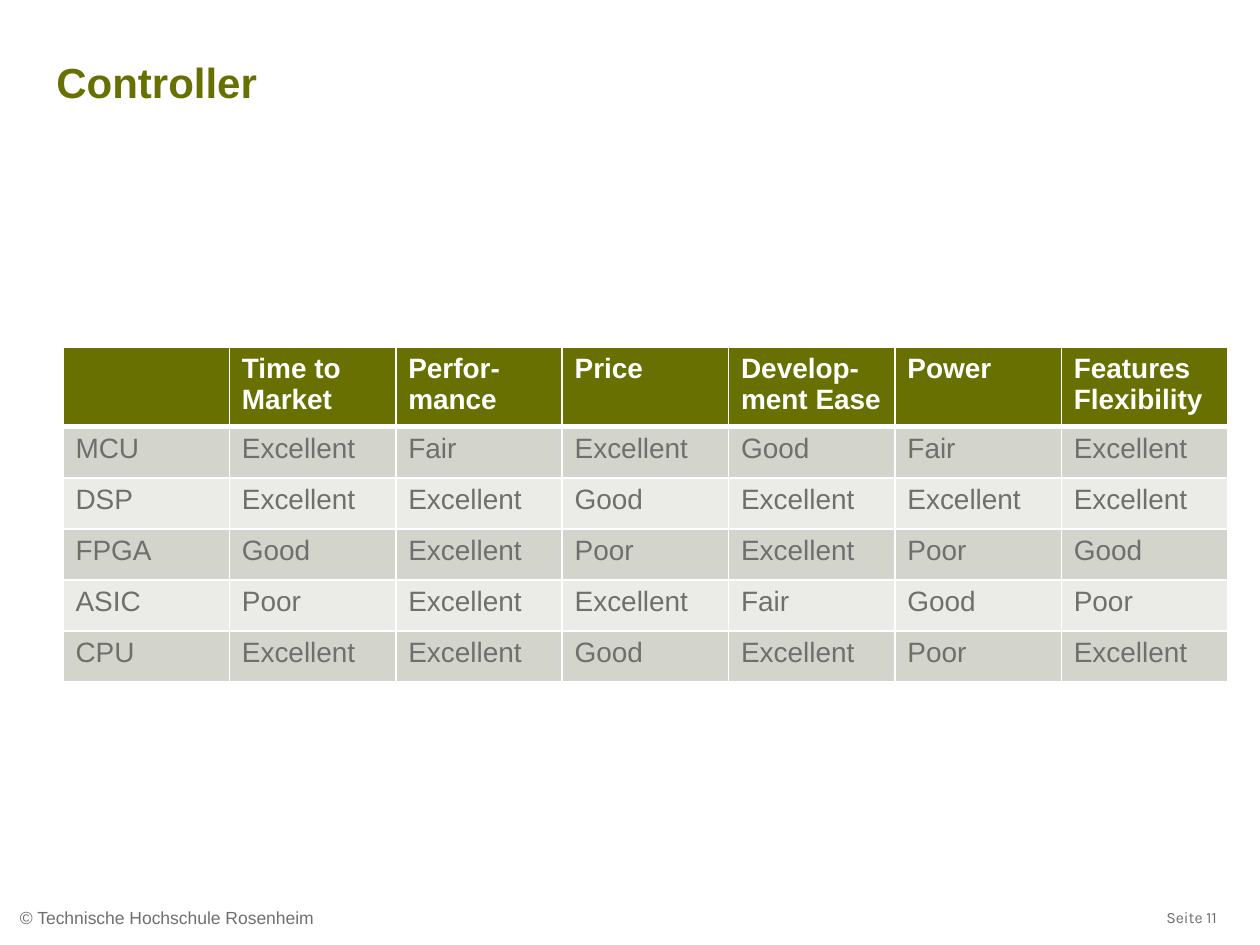
from dataclasses import dataclass

from lxml import etree
from pptx import Presentation
from pptx.dml.color import RGBColor
from pptx.enum import text
from pptx.oxml import ns
from pptx.util import Emu, Pt

EMU_PER_PX = 914400 / 126


@dataclass(frozen=True)
class Theme:
    olive: str = "677000"
    grey: str = "6F6F6E"
    white: str = "FFFFFF"
    bands: tuple = ("D3D5CC", "EBEBE7")
    font: str = "Arial"
    page_font: str = "Karla"
    title_size: int = 24
    table_size: int = 16
    footer_size: int = 10
    page_size: int = 9
    rule: int = 1
    header_rule: int = 3


THEME = Theme()

RATINGS = [
    ["", "Time to Market", "Perfor-mance", "Price", "Develop-ment Ease", "Power", "Features Flexibility"],
    ["MCU", "Excellent", "Fair", "Excellent", "Good", "Fair", "Excellent"],
    ["DSP", "Excellent", "Excellent", "Good", "Excellent", "Excellent", "Excellent"],
    ["FPGA", "Good", "Excellent", "Poor", "Excellent", "Poor", "Good"],
    ["ASIC", "Poor", "Excellent", "Excellent", "Fair", "Good", "Poor"],
    ["CPU", "Excellent", "Excellent", "Good", "Excellent", "Poor", "Excellent"],
]


def px(length):
    return Emu(round(length * EMU_PER_PX))


def add_run(paragraph, words, size, color, bold=False, font=THEME.font):
    run = paragraph.add_run()
    run.text = words
    run.font.name = font
    run.font.size = Pt(size)
    run.font.bold = bold
    run.font.color.rgb = RGBColor.from_string(color)


def add_text_box(slide, box, anchor=text.MSO_ANCHOR.TOP, wrap=True):
    shape = slide.shapes.add_textbox(*map(px, box))
    frame = shape.text_frame
    frame.word_wrap = wrap
    frame.vertical_anchor = anchor
    return frame


def add_title(slide, box):
    frame = add_text_box(slide, box)
    add_run(frame.paragraphs[0], "Controller", THEME.title_size, THEME.olive, bold=True)


def set_borders(cell, top, bottom):
    properties = cell._tc.get_or_add_tcPr()
    widths = {"lnL": THEME.rule, "lnR": THEME.rule, "lnT": top, "lnB": bottom}
    for position, (side, width) in enumerate(widths.items()):
        line = etree.Element(ns.qn(f"a:{side}"), w=str(Pt(width)))
        fill = etree.SubElement(line, ns.qn("a:solidFill"))
        etree.SubElement(fill, ns.qn("a:srgbClr"), val=THEME.white)
        properties.insert(position, line)


def add_ratings_table(slide, box, header_height):
    left, top, width, height = box
    row_count, column_count = len(RATINGS), len(RATINGS[0])
    table = slide.shapes.add_table(row_count, column_count, *map(px, box)).table
    for column in table.columns:
        column.width = px(width / column_count)
    body_height = (height - header_height) / (row_count - 1)

    for row_index, labels in enumerate(RATINGS):
        is_header = row_index == 0
        table.rows[row_index].height = px(header_height if is_header else body_height)
        fill = THEME.olive if is_header else THEME.bands[(row_index - 1) % 2]
        color = THEME.white if is_header else THEME.grey
        # The heavy rule lies between the header and the first row
        top_rule = THEME.header_rule if row_index == 1 else THEME.rule
        bottom_rule = THEME.header_rule if is_header else THEME.rule
        for cell, label in zip(table.rows[row_index].cells, labels):
            cell.fill.solid()
            cell.fill.fore_color.rgb = RGBColor.from_string(fill)
            set_borders(cell, top_rule, bottom_rule)
            if label:
                add_run(cell.text_frame.paragraphs[0], label, THEME.table_size, color, bold=is_header)


def add_footer(slide, box):
    left, top, width, height = box
    # Copyright line
    frame = add_text_box(slide, (left, top, 1012, height), text.MSO_ANCHOR.MIDDLE)
    frame.margin_left = frame.margin_right = frame.margin_top = frame.margin_bottom = px(15)
    add_run(frame.paragraphs[0], "© Technische Hochschule Rosenheim", THEME.footer_size, THEME.grey)
    # Page number
    page_width = 90
    frame = add_text_box(slide, (left + width - page_width, top + 10, page_width, 32), wrap=False)
    add_run(frame.paragraphs[0], "Seite 11", THEME.page_size, THEME.grey, font=THEME.page_font)


def main():
    presentation = Presentation()
    presentation.slide_width, presentation.slide_height = px(1260), px(945)
    slide = presentation.slides.add_slide(presentation.slide_layouts[6])
    add_footer(slide, (5, 892, 1239, 52))
    add_title(slide, (44, 50, 838, 117))
    add_ratings_table(slide, (63, 347, 1165, 329), header_height=74)
    presentation.save("out.pptx")


if __name__ == "__main__":
    main()
